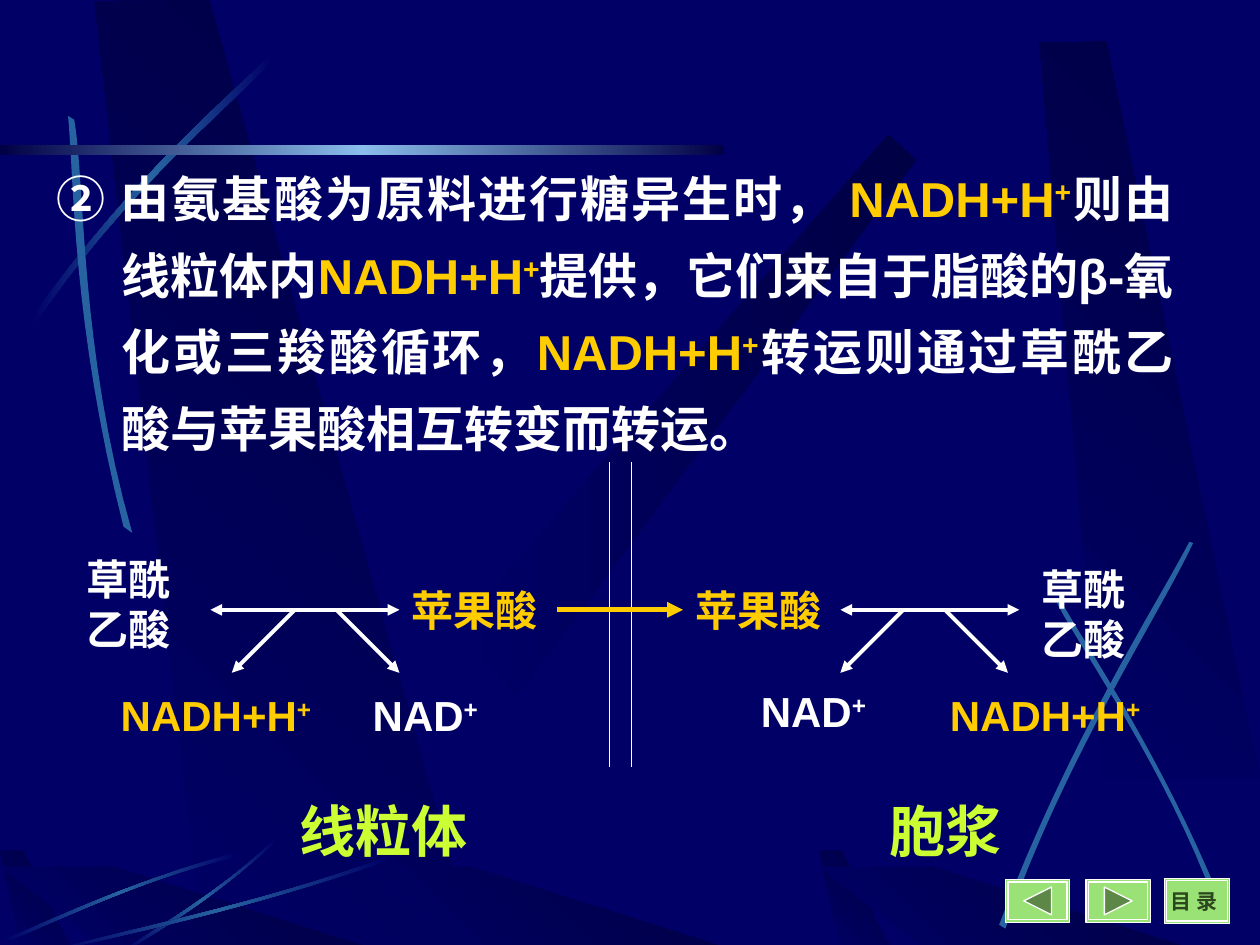
from lxml.etree import SubElement
from pptx import Presentation
from pptx.dml.color import RGBColor
from pptx.enum.shapes import MSO_CONNECTOR, MSO_SHAPE
from pptx.enum.text import PP_ALIGN
from pptx.oxml.ns import qn
from pptx.util import Inches, Pt

NAVY = RGBColor(0x00, 0x00, 0x66)
SHADE = RGBColor(0x00, 0x00, 0x44)
STEEL = RGBColor(0x26, 0x63, 0xA0)
SKY = RGBColor(0x8A, 0xBD, 0xEC)
WHITE = RGBColor(0xFF, 0xFF, 0xFF)
GOLD = RGBColor(0xFF, 0xCC, 0x00)
LIME = RGBColor(0xCC, 0xFF, 0x33)
MINT = RGBColor(0x9A, 0xE2, 0x76)
LEAF = RGBColor(0x5C, 0x87, 0x47)
FOREST = RGBColor(0x2C, 0x47, 0x1D)

FADE_STOPS = [(0, NAVY), (50, STEEL), (100, NAVY)]
BAND_STOPS = [(0, NAVY), (100, SHADE)]
BANDS = [
    (0, [(3.61, 5.01), (4.11, 5.52), (7.27, 1.27), (7.05, 1.07)]),
    (45, [(1.61, 7.5), (3.77, 7.52), (1.66, 0), (0.75, 0.01)]),
    (45, [(8.75, 6.18), (10, 6.18), (8.78, 0.33), (8.25, 0.34)]),
]
STREAKS = [
    (True, [(0.25, 2.52), (1.08, 1.36), (1.84, 0.75), (2.16, 0.42)],
     [(2.17, 0.47), (1.85, 0.83), (0.99, 1.5), (0.26, 2.6)]),
    (False, [(0.98, 4.18), (0.57, 2.56), (0.59, 1.45), (0.54, 0.92)],
     [(0.59, 0.95), (0.68, 1.5), (0.63, 2.76), (1.05, 4.23)]),
    (False, [(7.93, 7.34), (8.48, 5.88), (9.18, 4.8), (9.44, 4.3)],
     [(9.47, 4.31), (9.23, 4.83), (8.43, 6.05), (7.98, 7.37)]),
    (False, [(9.68, 7.13), (9.21, 5.99), (8.64, 5.16), (8.42, 4.77)],
     [(8.39, 4.79), (8.6, 5.19), (9.26, 6.12), (9.64, 7.16)]),
    (True, [(1.86, 6.77), (0.99, 7.01), (0.33, 7.34), (0.02, 7.46)],
     [(0.03, 7.48), (0.34, 7.37), (1.09, 6.98), (1.88, 6.8)]),
    (True, [(2.19, 6.68), (1.67, 7.16), (1.2, 7.42), (1, 7.55)],
     [(1, 7.53), (1.2, 7.38), (1.73, 7.1), (2.19, 6.65)]),
    (True, [(3.08, 6.83), (1.93, 7.23), (0.88, 7.44), (0.43, 7.55)],
     [(0.42, 7.54), (0.86, 7.41), (2.06, 7.18), (3.07, 6.8)]),
]


def add_text(page, box, spans, size=24, face="Arial", wrap=True, align=None,
             spacing=None, hanging=0):
    """Place one paragraph of (text, colour, raised) spans in a box."""
    frame = page.shapes.add_textbox(*map(Inches, box)).text_frame
    frame.word_wrap = wrap
    para = frame.paragraphs[0]
    para.alignment = align
    para.line_spacing = spacing
    if hanging:
        props = para._p.get_or_add_pPr()
        props.set("marL", str(Inches(hanging)))
        props.set("indent", str(-Inches(hanging)))
    for text, colour, raised in spans:
        span = para.add_run()
        span.text = text
        span.font.name, span.font.size, span.font.bold = face, Pt(size), True
        span.font.color.rgb = colour
        if raised:
            span._r.get_or_add_rPr().set("baseline", "30000")


def plain(text, colour=WHITE):
    """Return a single unraised span."""
    return [(text, colour, False)]


def ion(text, colour=GOLD):
    """Return a name followed by a raised plus sign."""
    return [(text, colour, False), ("+", colour, True)]


def paint(shape, colour, line=None):
    """Give a shape a solid fill and an optional thin outline."""
    shape.shadow.inherit = False
    shape.fill.solid()
    shape.fill.fore_color.rgb = colour
    if line is None:
        shape.line.fill.background()
    else:
        shape.line.color.rgb = line
        shape.line.width = Pt(0.75)


def paint_gradient(shape, stops, angle=0):
    """Give a shape a linear gradient through the stops."""
    shape.shadow.inherit = False
    shape.line.fill.background()
    shape.fill.gradient()
    shape.fill.gradient_angle = angle
    stop_list = shape._element.spPr.find(qn("a:gradFill")).find(qn("a:gsLst"))
    for stop in list(stop_list):
        stop_list.remove(stop)
    for position, colour in stops:
        stop = SubElement(stop_list, qn("a:gs"), pos=str(position * 1000))
        SubElement(stop, qn("a:srgbClr"), val=str(colour))


def add_polygon(page, points):
    """Draw a closed outline through points in inches."""
    corners = [(Inches(x), Inches(y)) for x, y in points]
    builder = page.shapes.build_freeform(*corners[0], scale=1.0)
    builder.add_line_segments(corners[1:], close=True)
    return builder.convert_to_shape()


def curve(controls, steps=16):
    """Return points along a cubic curve."""
    weights = (1, 3, 3, 1)
    return [tuple(sum(w * (1 - t) ** (3 - k) * t ** k * point[axis]
                      for k, (w, point) in enumerate(zip(weights, controls)))
                  for axis in (0, 1))
            for t in (step / steps for step in range(steps + 1))]


def add_line(page, start, end, colour=WHITE, width=2.25, head=False, tail=False):
    """Draw a straight line with optional arrowheads."""
    line = page.shapes.add_connector(MSO_CONNECTOR.STRAIGHT,
                                     *map(Inches, start + end))
    line.line.color.rgb = colour
    line.line.width = Pt(width)
    outline = line.line._get_or_add_ln()
    for tag, wanted in (("a:headEnd", head), ("a:tailEnd", tail)):
        if wanted:
            SubElement(outline, qn(tag), type="triangle")
    SubElement(line._element.spPr, qn("a:effectLst"))


def backdrop(page):
    """Draw the dark bands, curved streaks and title rule."""
    slivers = [(45, [(x + 0.17, 7.55), (x + 0.58, 7.55), (x + 0.18, 6.75), (x, 6.75)])
               for x in (0, 6.5)]
    wedges = [(45, [(x + 0.86, 7.55), (x + 3.02, 7.55), (x + 0.91, 6.88), (x, 6.88)])
              for x in (2.83, 0, 6.5)]
    for angle, points in BANDS + slivers + wedges:
        paint_gradient(add_polygon(page, points), BAND_STOPS, angle)
    for fades, outward, back in STREAKS:
        streak = add_polygon(page, curve(outward) + curve(back))
        if fades:
            paint_gradient(streak, FADE_STOPS)
        else:
            paint(streak, STEEL)
    rule = page.shapes.add_shape(MSO_SHAPE.RECTANGLE,
                                 *map(Inches, (0, 1.15, 5.75, 0.08)))
    paint_gradient(rule, [(0, SHADE), (50, SKY), (100, SHADE)])


def button(page, left, top, width, height, pointing=0):
    """Draw a framed button with a triangle pointing left (-1) or right (1)."""
    for inset in (0, 0.02):
        frame = (left + inset, top + inset, width - 2 * inset, height - 2 * inset)
        paint(page.shapes.add_shape(MSO_SHAPE.RECTANGLE, *map(Inches, frame)),
              MINT, WHITE)
    if pointing:
        x, y = left + width / 2, top + height / 2
        tip, base = x + 0.11 * pointing, x - 0.11 * pointing
        triangle = add_polygon(page, [(tip, y), (base, y - 0.11), (base, y + 0.11)])
        paint(triangle, LEAF, WHITE)


def navigation(page):
    """Draw the back, forward and contents buttons."""
    button(page, 7.98, 6.98, 0.51, 0.34, pointing=-1)
    button(page, 8.62, 6.98, 0.51, 0.34, pointing=1)
    button(page, 9.24, 6.97, 0.52, 0.36)
    add_text(page, (9.19, 7, 0.57, 0.3), plain("目 录", FOREST), size=12,
             face="Times New Roman", wrap=False)


def reaction(page, left, right, fork, level=4.84):
    """Draw a two-way arrow with two branches leaving below it."""
    add_line(page, (left, level), (right, level), head=True, tail=True)
    for start, shift in ((fork, -0.5), (fork + 0.33, 0.5)):
        add_line(page, (start, level), (start + shift, level + 0.5), tail=True)


def shuttle(page):
    """Draw the malate shuttle across the two membrane lines."""
    reaction(page, 1.67, 3.17, 2.34)
    reaction(page, 6.67, 8.09, 7.17)
    for x in (4.84, 5.01):
        add_line(page, (x, 3.67), (x, 6.09), width=0.75)
    add_line(page, (4.42, 4.84), (5.42, 4.84), GOLD, 3, tail=True)
    for x in (3.17, 5.42):
        add_text(page, (x, 4.59, 1.25, 0.9), plain("苹果酸", GOLD))
    for box in ((0.59, 4.34, 1.08, 0.9), (8.17, 4.42, 1.17, 0.9)):
        add_text(page, box, plain("草酰乙酸"))
    for box in ((0.86, 5.42, 1.87, 0.5), (7.44, 5.42, 1.82, 0.5)):
        add_text(page, box, ion("NADH+H"), wrap=False)
    for box in ((2.86, 5.42, 1.19, 0.5), (5.94, 5.39, 1.14, 0.5)):
        add_text(page, box, ion("NAD", WHITE), wrap=False)
    for name, box in (("线粒体", (2.28, 6.27, 1.73, 0.64)),
                      ("胞浆", (6.96, 6.27, 1.39, 0.64))):
        add_text(page, box, plain(name, LIME), size=32, wrap=False)


def explanation(page, box):
    """Write the paragraph on where the hydrogen comes from."""
    spans = (plain("② 由氨基酸为原料进行糖异生时， ") + ion("NADH+H")
             + plain("则由线粒体内") + ion("NADH+H")
             + plain("提供，它们来自于脂酸的β-氧化或三羧酸循环，") + ion("NADH+H")
             + plain("转运则通过草酰乙酸与苹果酸相互转变而转运。"))
    add_text(page, box, spans, size=28, align=PP_ALIGN.JUSTIFY, spacing=1.3,
             hanging=0.52)


def main():
    """Build the slide and save it."""
    deck = Presentation()
    deck.slide_width, deck.slide_height = Inches(10), Inches(7.5)
    page = deck.slides.add_slide(deck.slide_layouts[6])
    page.background.fill.solid()
    page.background.fill.fore_color.rgb = NAVY
    backdrop(page)
    navigation(page)
    explanation(page, (0.35, 1.15, 9.06, 2.53))
    shuttle(page)
    deck.save("out.pptx")


if __name__ == "__main__":
    main()
